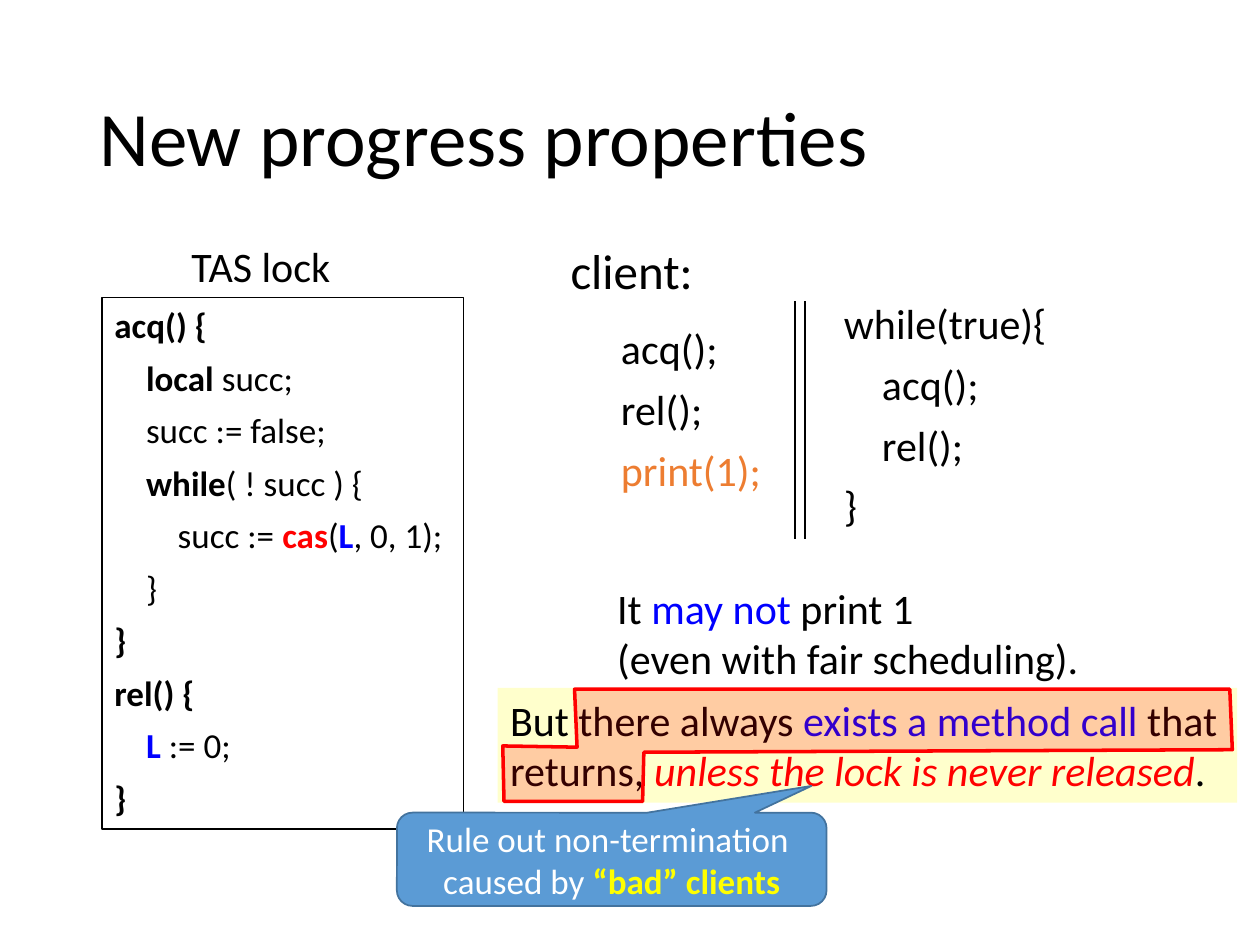
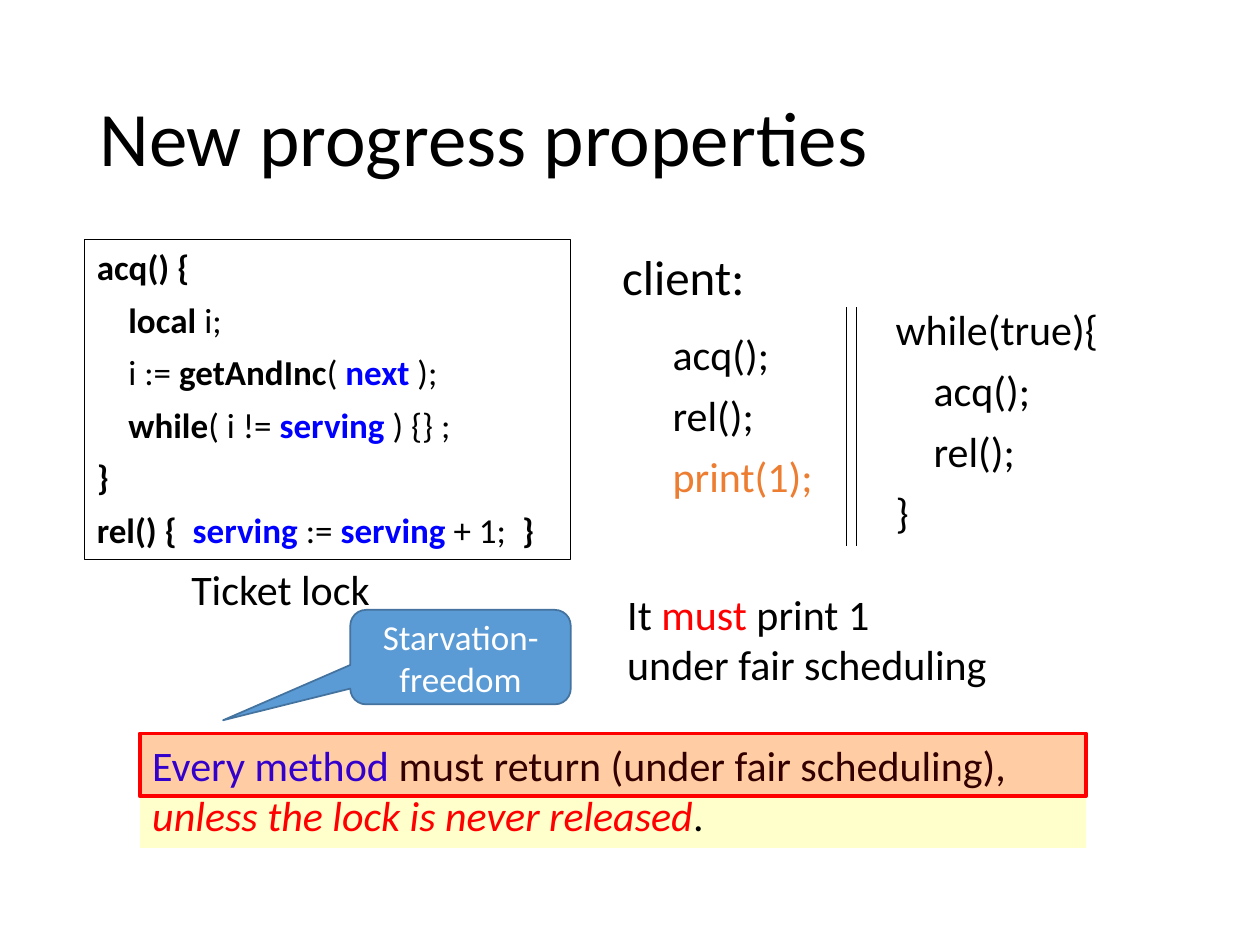
import dataclasses
import typing

import pptx
import pptx.dml.color
import pptx.enum.shapes
import pptx.enum.text
import pptx.oxml.ns
import pptx.util
from lxml import etree
from pptx.util import Inches

FONT = "Calibri"
BLACK, WHITE, RED, BLUE = "000000", "FFFFFF", "FF0000", "0000FF"
ORANGE, YELLOW, PALE_YELLOW = "ED7D31", "FFFF00", "FFFFCC"
CALLOUT_FILL, CALLOUT_LINE = "5B9BD5", "43739E"

SHAPE = pptx.enum.shapes.MSO_SHAPE
ANCHOR = pptx.enum.text.MSO_ANCHOR
ALIGN = pptx.enum.text.PP_ALIGN
AUTO_SIZE = pptx.enum.text.MSO_AUTO_SIZE


class Span(typing.NamedTuple):
    text: str
    color: str = BLACK
    bold: bool = False
    italic: bool = False


class Area(typing.NamedTuple):
    left: float
    top: float
    width: float
    height: float

    def lengths(self) -> list:
        return [Inches(value) for value in self]


Line = typing.List[Span]


@dataclasses.dataclass
class TextStyle:
    size: int = 24
    space_before: int = 0
    indent: float = 0
    line_spacing: float = 1.0
    align: typing.Any = ALIGN.LEFT
    anchor: typing.Any = ANCHOR.TOP
    wrap: bool = True
    grow: bool = True


TITLE = TextStyle(size=44, line_spacing=0.9, anchor=ANCHOR.MIDDLE, grow=False)
LABEL = TextStyle(wrap=False)
CLIENT_HEADING = TextStyle(size=28, wrap=False)
CLIENT_CODE = TextStyle(space_before=6, indent=0.03, wrap=False)
LOCK_CODE = TextStyle(size=20, space_before=6)
BODY = TextStyle()
CALLOUT = TextStyle(size=20, align=ALIGN.CENTER, anchor=ANCHOR.MIDDLE, grow=False)


def rgb(color: str) -> pptx.dml.color.RGBColor:
    return pptx.dml.color.RGBColor.from_string(color)


def bold(text: str, color: str = BLACK) -> Span:
    return Span(text, color, bold=True)


def write(box, lines: typing.List[Line], style: TextStyle) -> None:
    frame = box.text_frame
    frame.word_wrap = style.wrap
    frame.vertical_anchor = style.anchor
    frame.auto_size = AUTO_SIZE.SHAPE_TO_FIT_TEXT if style.grow else AUTO_SIZE.NONE
    for index, line in enumerate(lines):
        para = frame.add_paragraph() if index else frame.paragraphs[0]
        para.alignment = style.align
        para.line_spacing = style.line_spacing
        if index:
            para.space_before = pptx.util.Pt(style.space_before)
        if style.indent:
            para._p.get_or_add_pPr().set("marL", str(Inches(style.indent)))
        for span in line:
            run = para.add_run()
            run.text = span.text
            run.font.name = FONT
            run.font.size = pptx.util.Pt(style.size)
            run.font.bold = span.bold
            run.font.italic = span.italic
            run.font.color.rgb = rgb(span.color)


def add_text(page, area: Area, lines: typing.List[Line], style: TextStyle) -> None:
    write(page.shapes.add_textbox(*area.lengths()), lines, style)


def paint(shape, fill: typing.Optional[str] = None, line: typing.Optional[str] = None,
          width: float = 1, opacity: int = 100) -> None:
    shape.shadow.inherit = False
    if fill:
        shape.fill.solid()
        shape.fill.fore_color.rgb = rgb(fill)
        if opacity < 100:
            color = shape._element.spPr.find(".//" + pptx.oxml.ns.qn("a:srgbClr"))
            alpha = etree.SubElement(color, pptx.oxml.ns.qn("a:alpha"))
            alpha.set("val", str(opacity * 1000))
    else:
        shape.fill.background()
    if line:
        shape.line.color.rgb = rgb(line)
        shape.line.width = pptx.util.Pt(width)
    else:
        shape.line.fill.background()


def add_box(page, area: Area):
    return page.shapes.add_shape(SHAPE.RECTANGLE, *area.lengths())


def add_lock_code(page, area: Area, lines: typing.List[Line]) -> None:
    box = add_box(page, area)
    paint(box, line=BLACK, width=0.75)
    write(box, lines, LOCK_CODE)


def add_guarantee(page, area: Area, line: Line) -> None:
    box = add_box(page, area)
    paint(box, fill=PALE_YELLOW)
    write(box, [line], BODY)


def highlight(shape) -> None:
    paint(shape, fill=RED, line=RED, width=2, opacity=20)


def add_callout(page, area: Area, tip: typing.Tuple[float, float],
                lines: typing.List[Line]) -> None:
    box = page.shapes.add_shape(SHAPE.ROUNDED_RECTANGULAR_CALLOUT, *area.lengths())
    for index, value in enumerate((*tip, 0.167)):
        box.adjustments[index] = value
    paint(box, fill=CALLOUT_FILL, line=CALLOUT_LINE)
    write(box, lines, CALLOUT)


def add_client(page, left: float, top: float) -> None:
    """Draw the two client threads, separated by a double bar."""
    add_text(page, Area(left, top, 1.27, 0.57), [[Span("client:")]], CLIENT_HEADING)
    for offset in (1.88, 1.96):
        x = Inches(left + offset)
        bar = page.shapes.add_connector(pptx.enum.shapes.MSO_CONNECTOR.STRAIGHT,
                                        x, Inches(top + 0.53), x, Inches(top + 2.42))
        bar.line.color.rgb = rgb(BLACK)
        bar.line.width = pptx.util.Pt(0.75)
        etree.SubElement(bar._element.spPr, pptx.oxml.ns.qn("a:effectLst"))
    add_text(page, Area(left + 0.37, top + 0.65, 1.35, 1.48),
             [[Span("acq();")], [Span("rel();")], [Span("print(1);", ORANGE)]],
             CLIENT_CODE)
    add_text(page, Area(left + 2.14, top + 0.45, 1.86, 1.97),
             [[Span("while(true){")], [Span("    acq();")],
              [Span("    rel();")], [Span("}")]],
             CLIENT_CODE)


def add_page(deck):
    page = deck.slides.add_slide(deck.slide_layouts[6])
    add_text(page, Area(0.69, 0.4, 8.62, 1.45),
             [[Span("New progress properties")]], TITLE)
    return page


UNLESS_RELEASED = [Span("unless the lock is never released", RED, italic=True), Span(".")]


def build_tas_lock(deck) -> None:
    page = add_page(deck)
    add_lock_code(page, Area(0.81, 2.36, 2.87, 4.22), [
        [bold("acq() {")],
        [bold("    local "), Span("succ;")],
        [Span("    succ := false;")],
        [Span("    "), bold("while"), Span("( ! succ ) {")],
        [Span("        succ := "), bold("cas", RED), Span("("),
         bold("L", BLUE), Span(", 0, 1);")],
        [Span("    }")],
        [bold("}")],
        [bold("rel() {")],
        [bold("    L ", BLUE), Span(":= 0;")],
        [bold("}")],
    ])
    add_text(page, Area(1.42, 1.86, 1.31, 0.5), [[Span("TAS lock")]], LABEL)
    add_client(page, 4.43, 1.86)
    add_text(page, Area(4.8, 4.57, 4.08, 0.91), [
        [Span("It "), Span("may not ", BLUE), Span("print 1")],
        [Span("(even with fair scheduling).")],
    ], BODY)
    add_guarantee(page, Area(3.95, 5.46, 5.87, 0.91), [
        Span("But there always "), Span("exists a method call ", BLUE),
        Span("that returns, "), *UNLESS_RELEASED,
    ])

    # Outline around the words that span two lines
    corners = [(4, 6.36), (5.1, 6.36), (5.11, 5.97), (9.78, 5.95),
               (9.76, 5.47), (4.56, 5.47), (4.58, 5.93), (3.99, 5.92)]
    points = [(Inches(x), Inches(y)) for x, y in corners]
    builder = page.shapes.build_freeform(*points[0])
    builder.add_line_segments(points[1:], close=True)
    highlight(builder.convert_to_shape())

    add_callout(page, Area(3.15, 6.45, 3.41, 0.74), (0.465, -0.787), [
        [Span("Rule out non-termination ", WHITE)],
        [Span("caused by ", WHITE), bold("“bad” clients", YELLOW)],
    ])


def build_ticket_lock(deck) -> None:
    page = add_page(deck)
    add_client(page, 4.84, 1.91)
    add_text(page, Area(4.88, 4.62, 3.86, 0.91), [
        [Span("It "), Span("must ", RED), Span("print 1")],
        [Span("under fair scheduling")],
    ], BODY)
    add_text(page, Area(1.42, 4.42, 1.63, 0.5), [[Span("Ticket lock")]], LABEL)
    add_lock_code(page, Area(0.67, 1.9, 3.86, 2.54), [
        [bold("acq() {")],
        [bold("    local "), Span("i;")],
        [Span("    i := "), bold("getAndInc"), Span("( "),
         bold("next", BLUE), Span(" );")],
        [Span("    "), bold("while"), Span("( i != "),
         bold("serving ", BLUE), Span(") {} ;")],
        [bold("}")],
        [bold("rel() {"), bold("  serving ", BLUE), Span(":= "),
         bold("serving", BLUE), Span(" + 1;  "), bold("}")],
    ])
    guarantee = Area(1.11, 5.82, 7.51, 0.91)
    add_guarantee(page, guarantee, [
        Span("Every method ", BLUE), Span("must return (under fair scheduling), "),
        *UNLESS_RELEASED,
    ])
    add_callout(page, Area(2.78, 4.84, 1.75, 0.75), (-1.077, 0.668),
                [[Span("Starvation-freedom", WHITE)]])
    highlight(add_box(page, guarantee._replace(height=0.5)))


def main() -> None:
    deck = pptx.Presentation()
    deck.slide_width, deck.slide_height = Inches(10), Inches(7.5)
    build_tas_lock(deck)
    build_ticket_lock(deck)
    deck.save("out.pptx")


if __name__ == "__main__":
    main()
